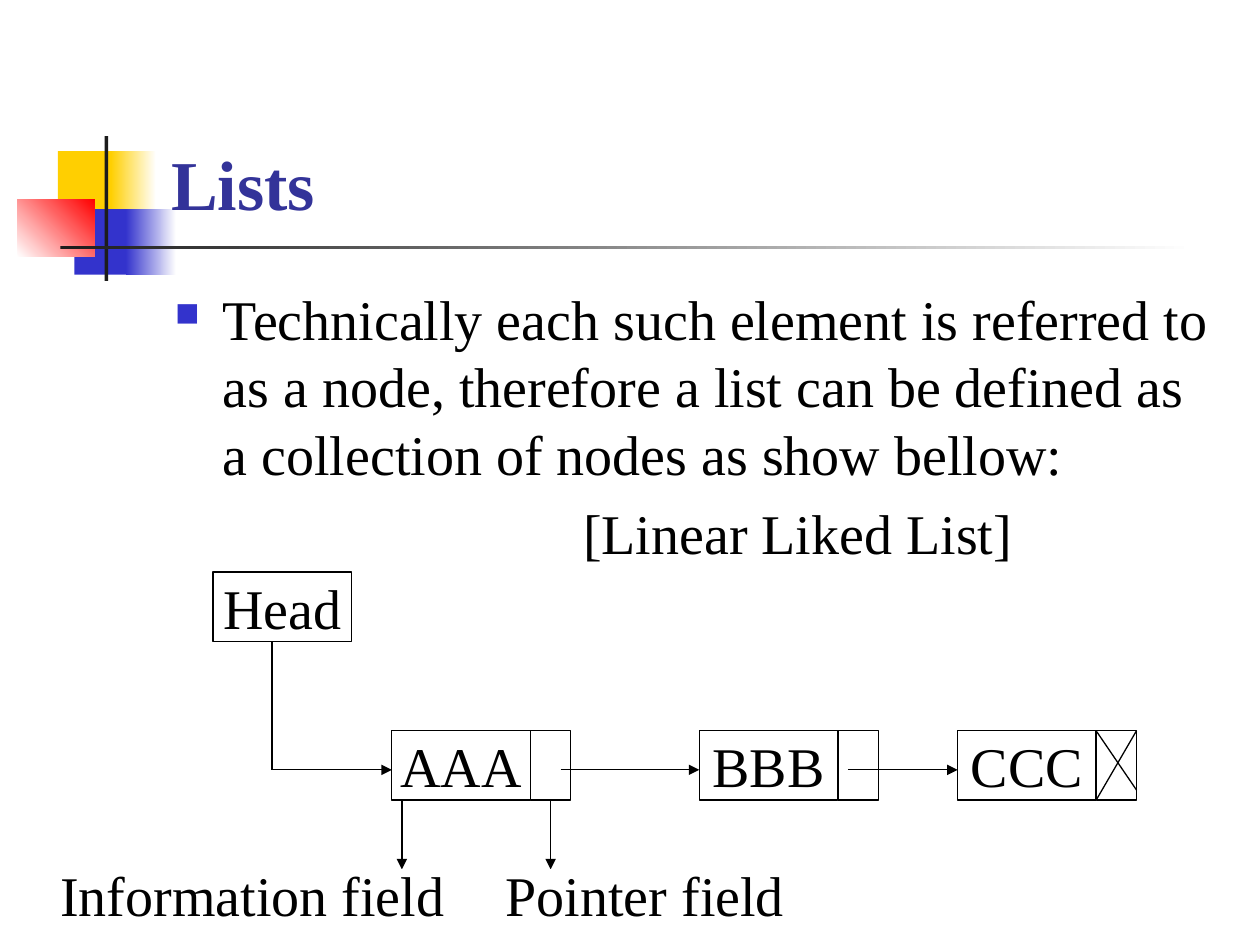
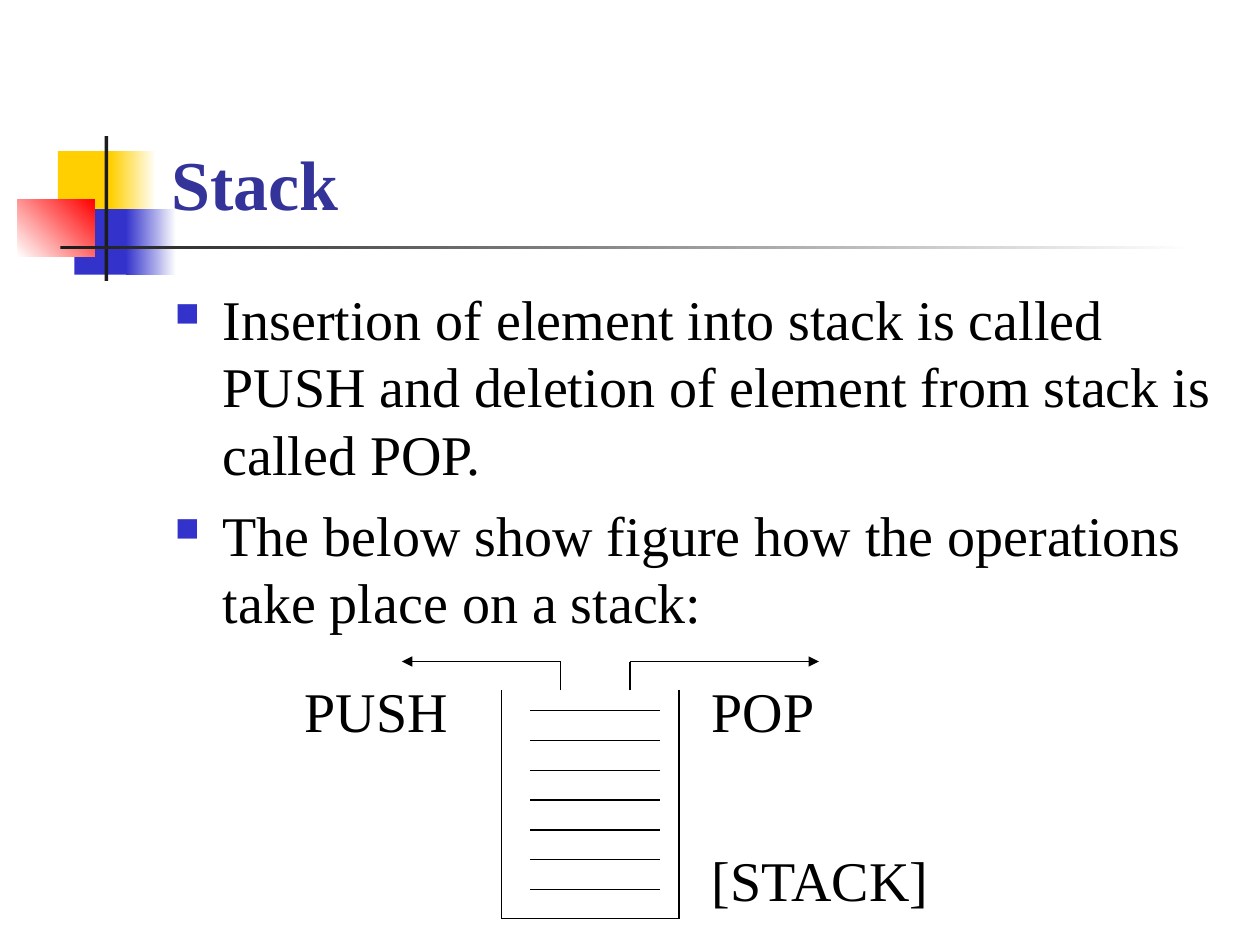
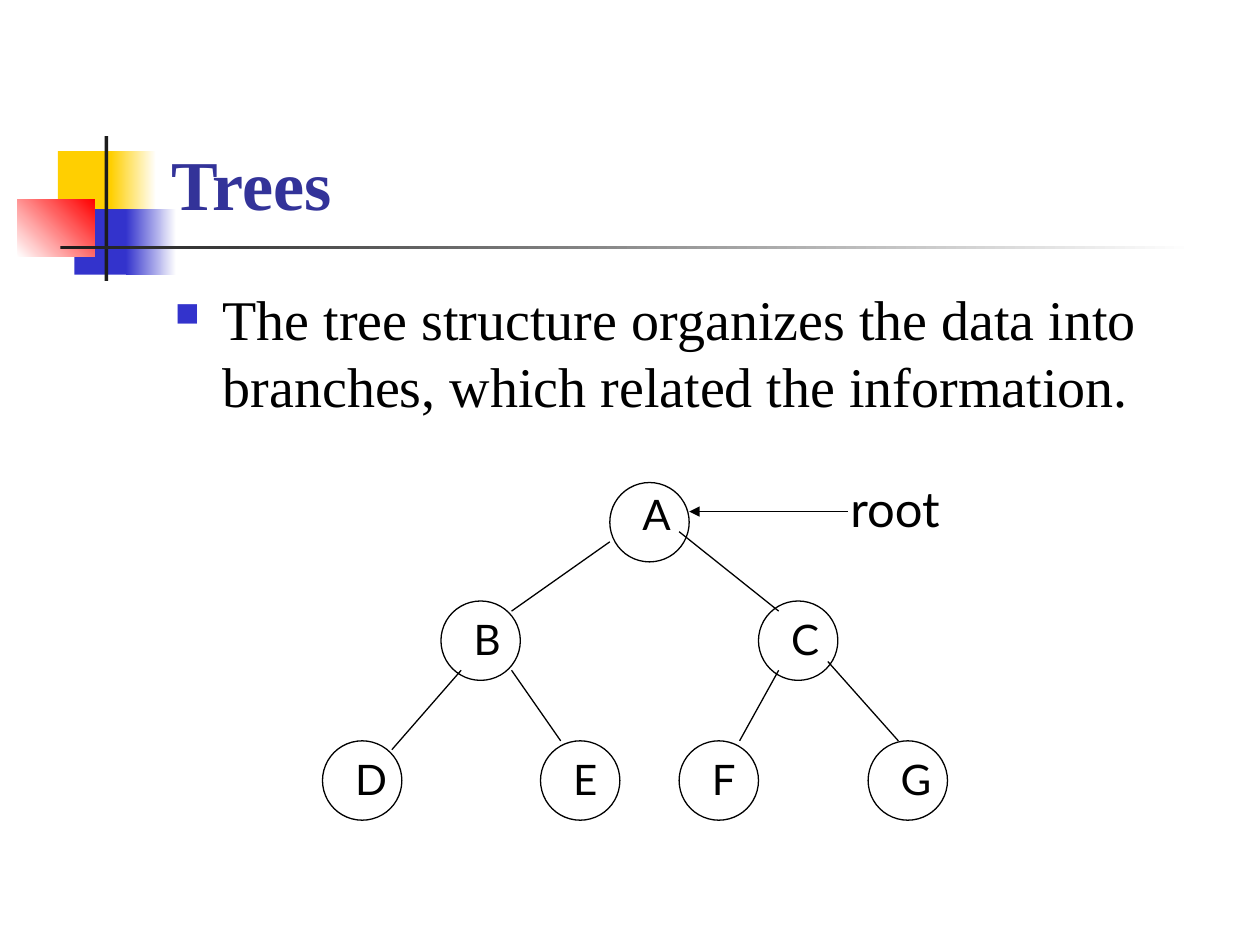
from dataclasses import dataclass
from typing import Any, Optional

from lxml import etree
from pptx import Presentation
from pptx import util as u
from pptx.dml.color import RGBColor
from pptx.enum import shapes as sh, text as tx
from pptx.oxml.ns import qn

COLORS = {
    "ink": "000000",
    "paper": "FFFFFF",
    "title": "333399",
    "yellow": "FFCF01",
    "blue": "3333CC",
    "red": "FF0000",
    "rule": "1C1C1C",
}
SERIF = "Times New Roman"
SANS = "Lato"
RECT = sh.MSO_SHAPE.RECTANGLE
OVAL = sh.MSO_SHAPE.OVAL
HAIRLINE = u.Pt(0.75)


@dataclass(frozen=True)
class Box:
    left: float
    top: float
    width: float
    height: float

    def lengths(self) -> list[u.Length]:
        return [u.Inches(n) for n in (self.left, self.top, self.width, self.height)]


@dataclass(frozen=True)
class Band:
    box: Box
    start: str
    end: Optional[str] = None
    angle: float = 0


@dataclass(frozen=True)
class Stroke:
    x1: float
    y1: float
    x2: float
    y2: float
    arrow: bool = False


@dataclass(frozen=True)
class TreeNode:
    letter: str
    left: float
    top: float
    letter_drop: float = 0.05


BANDS = [
    Band(Box(0.46, 1.2, 0.48, 0.52), "yellow"),
    Band(Box(0.88, 1.2, 0.36, 0.52), "yellow", "paper"),
    Band(Box(0.59, 1.66, 0.46, 0.52), "blue"),
    Band(Box(1, 1.66, 0.4, 0.52), "blue", "paper"),
    Band(Box(0.14, 1.58, 0.61, 0.46), "paper", "red", 45),
    Band(Box(0.83, 1.08, 0.03, 1.15), "rule"),
    Band(Box(0.48, 1.95, 9, 0.03), "rule", "paper"),
]
TITLE_BOX = Box(1.26, 0.23, 8.52, 1.6)
BODY_BOX = Box(1.29, 2.21, 8.5, 4.5)


def rgb(name: str) -> RGBColor:
    return RGBColor.from_string(COLORS[name])


def style_runs(paragraph: Any, size: float, font: str = SERIF,
               color: str = "ink", bold: bool = False) -> None:
    for run in paragraph.runs:
        run.font.size = u.Pt(size)
        run.font.name = font
        run.font.bold = bold
        run.font.color.rgb = rgb(color)


def add_band(slide: Any, band: Band) -> Any:
    block = slide.shapes.add_shape(RECT, *band.box.lengths())
    block.shadow.inherit = False
    block.line.fill.background()
    if band.end is None:
        block.fill.solid()
        block.fill.fore_color.rgb = rgb(band.start)
    else:
        block.fill.gradient()
        block.fill.gradient_angle = band.angle
        for stop, position, color in zip(block.fill.gradient_stops, (0, 1), (band.start, band.end)):
            stop.position = position
            stop.color.rgb = rgb(color)
    return block


def share_bands(layout: Any, slide: Any) -> None:
    for footer in list(layout.placeholders)[1:]:
        footer.element.getparent().remove(footer.element)
    blocks = [add_band(slide, band) for band in BANDS]
    for position, block in enumerate(blocks, start=2):
        layout.shapes.element.insert(position, block.element)


def add_outline(slide: Any, kind: Any, box: Box, label: str = "", line: str = "ink") -> None:
    outline = slide.shapes.add_shape(kind, *box.lengths())
    outline.shadow.inherit = False
    outline.fill.solid()
    outline.fill.fore_color.rgb = rgb("paper")
    outline.line.color.rgb = rgb(line)
    outline.line.width = HAIRLINE
    if label:
        frame = outline.text_frame
        frame.text = label
        frame.word_wrap = False
        frame.vertical_anchor = tx.MSO_ANCHOR.MIDDLE
        frame.paragraphs[0].alignment = tx.PP_ALIGN.CENTER
        style_runs(frame.paragraphs[0], 32)


def add_caption(slide: Any, box: Box, caption: str, size: float = 32,
                font: str = SERIF, centered: bool = False) -> None:
    frame = slide.shapes.add_textbox(*box.lengths()).text_frame
    frame.word_wrap = True
    frame.text = caption
    frame.paragraphs[0].alignment = tx.PP_ALIGN.CENTER if centered else tx.PP_ALIGN.LEFT
    style_runs(frame.paragraphs[0], size, font)


def add_stroke(slide: Any, stroke: Stroke) -> None:
    ends = [u.Inches(n) for n in (stroke.x1, stroke.y1, stroke.x2, stroke.y2)]
    connector = slide.shapes.add_connector(sh.MSO_CONNECTOR.STRAIGHT, *ends)
    connector.line.color.rgb = rgb("ink")
    connector.line.width = HAIRLINE
    properties = connector.element.spPr
    if stroke.arrow:
        etree.SubElement(properties.find(qn("a:ln")), qn("a:tailEnd"), type="triangle")
    etree.SubElement(properties, qn("a:effectLst"))


def add_bullet(paragraph: Any) -> None:
    properties = paragraph._p.get_or_add_pPr()
    properties.set("marL", str(u.Inches(0.38)))
    properties.set("indent", str(-u.Inches(0.38)))
    color = etree.SubElement(properties, qn("a:buClr"))
    etree.SubElement(color, qn("a:srgbClr"), val=COLORS["blue"])
    etree.SubElement(properties, qn("a:buSzPct"), val="60000")
    etree.SubElement(properties, qn("a:buChar"), char="■")


def write_title(slide: Any, heading: str) -> None:
    title = slide.shapes.title
    title.left, title.top, title.width, title.height = TITLE_BOX.lengths()
    frame = title.text_frame
    frame.text = heading
    frame.word_wrap = True
    frame.auto_size = tx.MSO_AUTO_SIZE.NONE
    frame.vertical_anchor = tx.MSO_ANCHOR.BOTTOM
    frame.paragraphs[0].alignment = tx.PP_ALIGN.LEFT
    style_runs(frame.paragraphs[0], 40, color="title", bold=True)


def write_body(slide: Any, points: list[str]) -> None:
    frame = slide.shapes.add_textbox(*BODY_BOX.lengths()).text_frame
    frame.word_wrap = True
    for index, point in enumerate(points):
        paragraph = frame.add_paragraph() if index else frame.paragraphs[0]
        paragraph.text = point
        add_bullet(paragraph)
        if index:
            paragraph.space_before = u.Pt(8)
        style_runs(paragraph, 32)


def draw_linked_list(slide: Any) -> None:
    top, info_width, pointer_width, height = 5.8, 1.1, 0.32, 0.55
    bottom, link_y, field_y = top + height, 6.11, 6.9
    node_lefts = {"AAA": 3.11, "BBB": 5.55, "CCC": 7.6}

    add_outline(slide, RECT, Box(1.69, 4.54, info_width, height), "Head")
    for value, left in node_lefts.items():
        add_outline(slide, RECT, Box(left, top, info_width, height), value)
        add_outline(slide, RECT, Box(left + info_width, top, pointer_width, height))
    null_left = node_lefts["CCC"] + info_width
    null_right = null_left + pointer_width
    for stroke in (
        Stroke(null_left, top, null_right, 6.27),
        Stroke(null_right, top, null_left, bottom),
        Stroke(2.16, 5.09, 2.16, link_y),
        Stroke(2.16, link_y, node_lefts["AAA"], link_y, True),
        Stroke(4.45, link_y, node_lefts["BBB"], link_y, True),
        Stroke(6.73, link_y, node_lefts["CCC"], link_y, True),
        Stroke(3.19, bottom, 3.19, field_y, True),
        Stroke(4.37, bottom, 4.37, field_y, True),
    ):
        add_stroke(slide, stroke)
    add_outline(slide, RECT, Box(0.59, field_y, 2.83, 0.39), "Information field", "paper")
    add_outline(slide, RECT, Box(3.98, field_y, 2.28, 0.39), "Pointer field", "paper")
    add_caption(slide, Box(4.53, 3.91, 3.94, 0.64), "[Linear Liked List]")


def draw_stack(slide: Any) -> None:
    left, right, mouth, base, turn = 3.98, 5.39, 5.48, 7.29, 5.25
    first_item, last_item, gaps = 5.64, 7.06, 6
    pitch = (last_item - first_item) / gaps
    levels = [first_item + pitch * index for index in range(gaps + 1)]
    walls = [
        Stroke(left, mouth, left, base),
        Stroke(right, mouth, right, base),
        Stroke(left, base, right, base),
    ]
    items = [Stroke(4.21, level, 5.24, level) for level in levels]
    moves = [
        Stroke(4.45, mouth, 4.45, turn),
        Stroke(5, mouth, 5, turn),
        Stroke(4.45, turn, 3.19, turn, True),
        Stroke(5, turn, 6.5, turn, True),
    ]
    for stroke in walls + items + moves:
        add_stroke(slide, stroke)
    add_caption(slide, Box(2.32, 5.32, 1.57, 0.64), "PUSH")
    add_caption(slide, Box(5.55, 5.32, 1.34, 0.64), "POP")
    add_caption(slide, Box(5.55, 6.66, 2.52, 0.64), "[STACK]")


def draw_tree(slide: Any) -> None:
    diameter, middle, leaves = 0.63, 4.77, 5.88
    for node in (
        TreeNode("A", 4.84, 3.83, 0),
        TreeNode("B", 3.5, middle),
        TreeNode("C", 6.02, middle),
        TreeNode("D", 2.56, leaves),
        TreeNode("E", 4.29, leaves),
        TreeNode("F", 5.39, leaves),
        TreeNode("G", 6.89, leaves),
    ):
        add_outline(slide, OVAL, Box(node.left, node.top, diameter, diameter))
        letter_box = Box(node.left + 0.16, node.top + node.letter_drop, 0.39, 0.5)
        add_caption(slide, letter_box, node.letter, 24, SANS, centered=True)
    for branch in (
        Stroke(4.84, 4.3, 4.06, 4.85),
        Stroke(5.39, 4.22, 6.18, 4.85),
        Stroke(3.66, 5.32, 3.11, 5.95),
        Stroke(4.06, 5.32, 4.45, leaves),
        Stroke(6.18, 5.32, 5.87, leaves),
        Stroke(6.57, 5.25, 7.13, leaves),
        Stroke(6.73, 4.06, 5.47, 4.06, True),
    ):
        add_stroke(slide, branch)
    add_caption(slide, Box(6.65, 3.75, 1.1, 0.57), "root", 28, SANS)


TOPICS = [
    ("Lists", [
        "Technically each such element is referred to as a node, therefore a list "
        "can be defined as a collection of nodes as show bellow:",
    ], draw_linked_list),
    ("Stack", [
        "Insertion of element into stack is called PUSH and deletion of element "
        "from stack is called POP.",
        "The below show figure how the operations take place on a stack:",
    ], draw_stack),
    ("Trees", [
        "The tree structure organizes the data into branches, which related the information.",
    ], draw_tree),
]


def main() -> None:
    deck = Presentation()
    deck.slide_width, deck.slide_height = u.Inches(10), u.Inches(7.5)
    layout = deck.slide_layouts[5]
    for index, (heading, points, draw_figure) in enumerate(TOPICS):
        slide = deck.slides.add_slide(layout)
        if index == 0:
            share_bands(layout, slide)
        write_title(slide, heading)
        write_body(slide, points)
        draw_figure(slide)
    deck.save("out.pptx")


if __name__ == "__main__":
    main()
